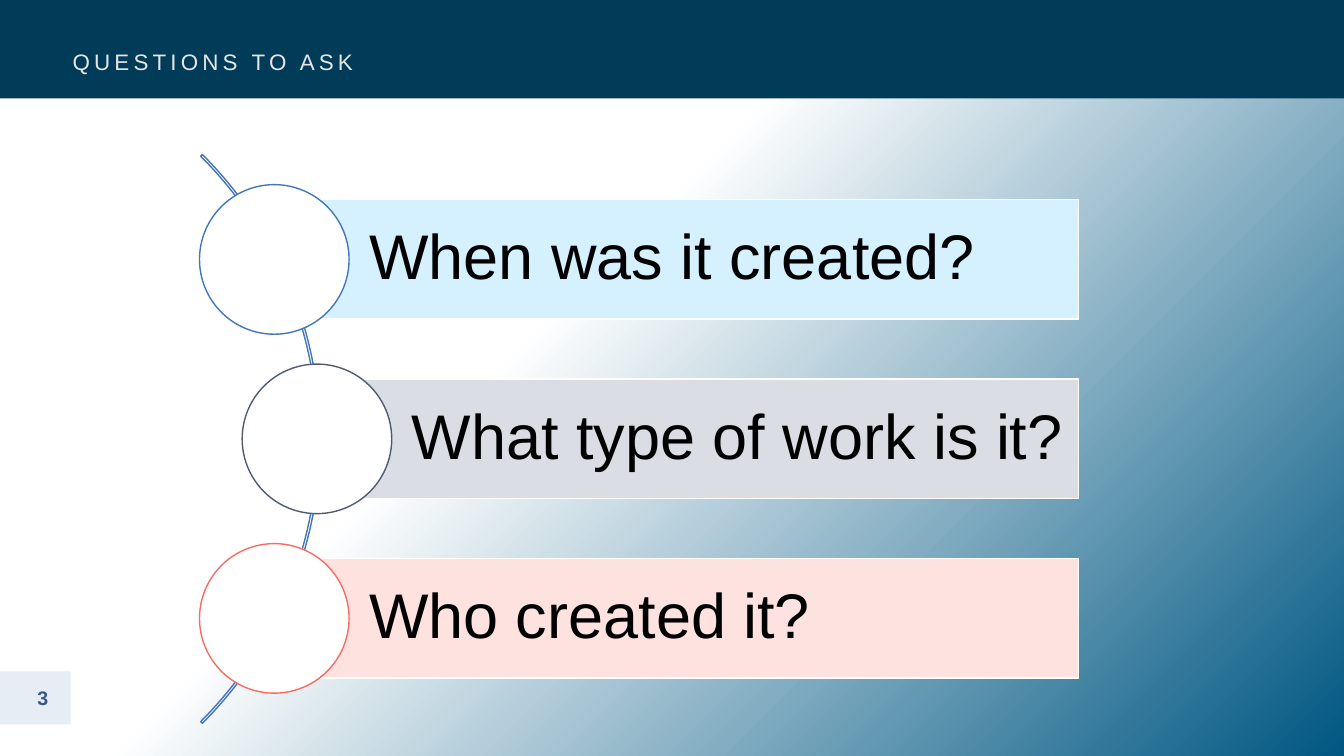
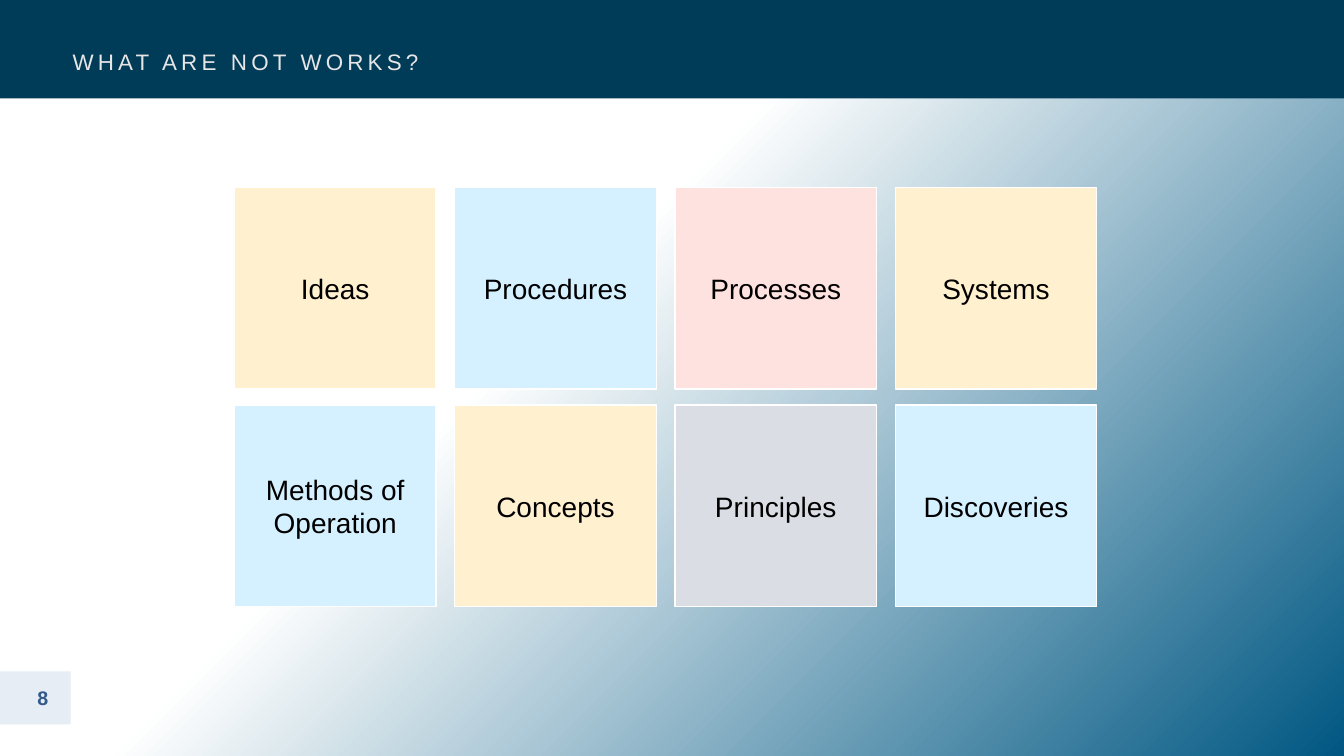
from dataclasses import dataclass
from math import sqrt

from lxml.etree import SubElement
from pptx import Presentation
from pptx.dml.color import RGBColor
from pptx.enum.shapes import MSO_SHAPE as Shape
from pptx.enum.text import MSO_ANCHOR as Anchor, PP_ALIGN as Align
from pptx.oxml.ns import qn
from pptx.util import Pt


@dataclass(frozen=True)
class Theme:
    font: str = "Arial"
    white: str = "FFFFFF"
    black: str = "000000"
    ocean: str = "005782"
    band: str = "003B58"
    title: str = "E7E6E6"
    badge: str = "D9E4F1"
    number: str = "335989"
    blue: str = "4477B7"
    slate: str = "4F5B6E"
    coral: str = "F46D62"
    pale_blue: str = "D5F1FF"
    pale_slate: str = "DADEE4"
    pale_coral: str = "FDE2E0"
    pale_yellow: str = "FFF1CF"
    number_size: int = 14
    title_size: int = 16
    card_size: int = 20
    question_size: int = 45


THEME = Theme()
SLIDE_WIDTH, SLIDE_HEIGHT = 960, 540

QUESTIONS = [
    ("When was it created?", THEME.pale_blue, THEME.blue),
    ("What type of work is it?", THEME.pale_slate, THEME.slate),
    ("Who created it?", THEME.pale_coral, THEME.coral),
]
NOT_WORKS = [
    [("Ideas", THEME.pale_yellow), ("Procedures", THEME.pale_blue),
     ("Processes", THEME.pale_coral), ("Systems", THEME.pale_yellow)],
    [("Methods of Operation", THEME.pale_blue), ("Concepts", THEME.pale_yellow),
     ("Principles", THEME.pale_slate), ("Discoveries", THEME.pale_blue)],
]


def rgb(color):
    return RGBColor.from_string(color)


def add_block(slide, kind, box, fill=None, line=None):
    """Place a flat preset shape in box = (left, top, width, height)."""
    block = slide.shapes.add_shape(kind, *map(Pt, box))
    block.shadow.inherit = False
    if fill:
        block.fill.solid()
        block.fill.fore_color.rgb = rgb(fill)
    else:
        block.fill.background()
    if line:
        block.line.color.rgb = rgb(line)
        block.line.width = Pt(1)
    else:
        block.line.fill.background()
    return block


def write_text(block, text, *, size, color=THEME.black, bold=False, align=Align.CENTER,
               anchor=Anchor.MIDDLE, insets=(7.2, 3.6, 7.2, 3.6), leading=1.0, tracking=0):
    """Fill a block with one paragraph; insets run left, top, right, bottom."""
    frame = block.text_frame
    frame.word_wrap = True
    frame.vertical_anchor = anchor
    (frame.margin_left, frame.margin_top,
     frame.margin_right, frame.margin_bottom) = map(Pt, insets)
    paragraph = frame.paragraphs[0]
    paragraph.alignment = align
    paragraph.line_spacing = leading
    run = paragraph.add_run()
    run.text = text
    run.font.name = THEME.font
    run.font.size = Pt(size)
    run.font.bold = bold
    run.font.color.rgb = rgb(color)
    if tracking:
        run.font._element.set("spc", str(tracking * 100))


def set_opacity(block, percent):
    color = block.fill._xPr.find(qn("a:solidFill"))[0]
    SubElement(color, qn("a:alpha")).set("val", str(percent * 1000))


def paint_background(master):
    fill = master.background.fill
    fill.gradient()
    fill.gradient_angle = 315
    for stop, position, color in zip(fill.gradient_stops, (0.41, 1),
                                     (THEME.white, THEME.ocean)):
        stop.position = position
        stop.color.rgb = rgb(color)


def add_framed_slide(prs, title, number):
    """Add a slide with the title band and the number badge."""
    slide = prs.slides.add_slide(prs.slide_layouts[6])
    add_block(slide, Shape.RECTANGLE, (0, 0, SLIDE_WIDTH, 70.3), THEME.band)
    badge = add_block(slide, Shape.RECTANGLE, (0, 479.5, 50.5, 38), THEME.badge)
    set_opacity(badge, 65)
    write_text(badge, str(number), size=THEME.number_size, color=THEME.number,
               bold=True, insets=(10.8, 0, 0, 0))
    heading = slide.shapes.add_textbox(Pt(44.8), Pt(0), Pt(867.5), Pt(57.6))
    write_text(heading, title, size=THEME.title_size, color=THEME.title,
               align=Align.LEFT, anchor=Anchor.BOTTOM, leading=0.9, tracking=3)
    return slide


def add_question_arc(slide, box, questions):
    """Hang question bars on circles along an arc that bulges to the right."""
    left, top, width, height = box
    pitch = height / len(questions)
    bar_height, circle = pitch * 2 / 3, pitch * 5 / 6
    middle = top + height / 2
    arc_radius, track_radius = 287.3, 285
    arc_x = left + circle / 2 - sqrt(track_radius ** 2 - pitch ** 2)

    arc = add_block(slide, Shape.BLOCK_ARC,
                    (arc_x - arc_radius, middle - arc_radius,
                     2 * arc_radius, 2 * arc_radius), line=THEME.blue)
    for index, value in enumerate((189, 27, 0.003)):
        arc.adjustments[index] = value

    for index, (question, fill, accent) in enumerate(questions):
        offset = (index - (len(questions) - 1) / 2) * pitch
        x, y = arc_x + sqrt(track_radius ** 2 - offset ** 2), middle + offset
        bar = add_block(slide, Shape.RECTANGLE,
                        (x, y - bar_height / 2, left + width - x, bar_height),
                        fill, THEME.white)
        write_text(bar, question, size=THEME.question_size, align=Align.LEFT,
                   insets=(67.7, 8.6, 4, 8.6), leading=0.9)
        add_block(slide, Shape.OVAL,
                  (x - circle / 2, y - circle / 2, circle, circle), THEME.white, accent)


def add_card_grid(slide, box, rows, card=144):
    """Spread square cards evenly over the box."""
    left, top, width, height = box
    column_step = (width - card) / (len(rows[0]) - 1)
    row_step = (height - card) / (len(rows) - 1)
    for row, cards in enumerate(rows):
        for column, (label, fill) in enumerate(cards):
            tile = add_block(slide, Shape.RECTANGLE,
                             (left + column * column_step, top + row * row_step,
                              card, card), fill, THEME.white)
            write_text(tile, label, size=THEME.card_size, insets=(17.6, 3.6, 17.6, 3.6))


def main():
    prs = Presentation()
    prs.slide_width, prs.slide_height = Pt(SLIDE_WIDTH), Pt(SLIDE_HEIGHT)
    paint_background(prs.slide_master)

    questions_slide = add_framed_slide(prs, "QUESTIONS TO ASK", 3)
    add_question_arc(questions_slide, (142.5, 121.2, 628, 384.6), QUESTIONS)

    not_works_slide = add_framed_slide(prs, "WHAT ARE NOT WORKS?", 8)
    add_card_grid(not_works_slide, (167.5, 133.8, 616, 299.5), NOT_WORKS)

    prs.save("out.pptx")


if __name__ == "__main__":
    main()
